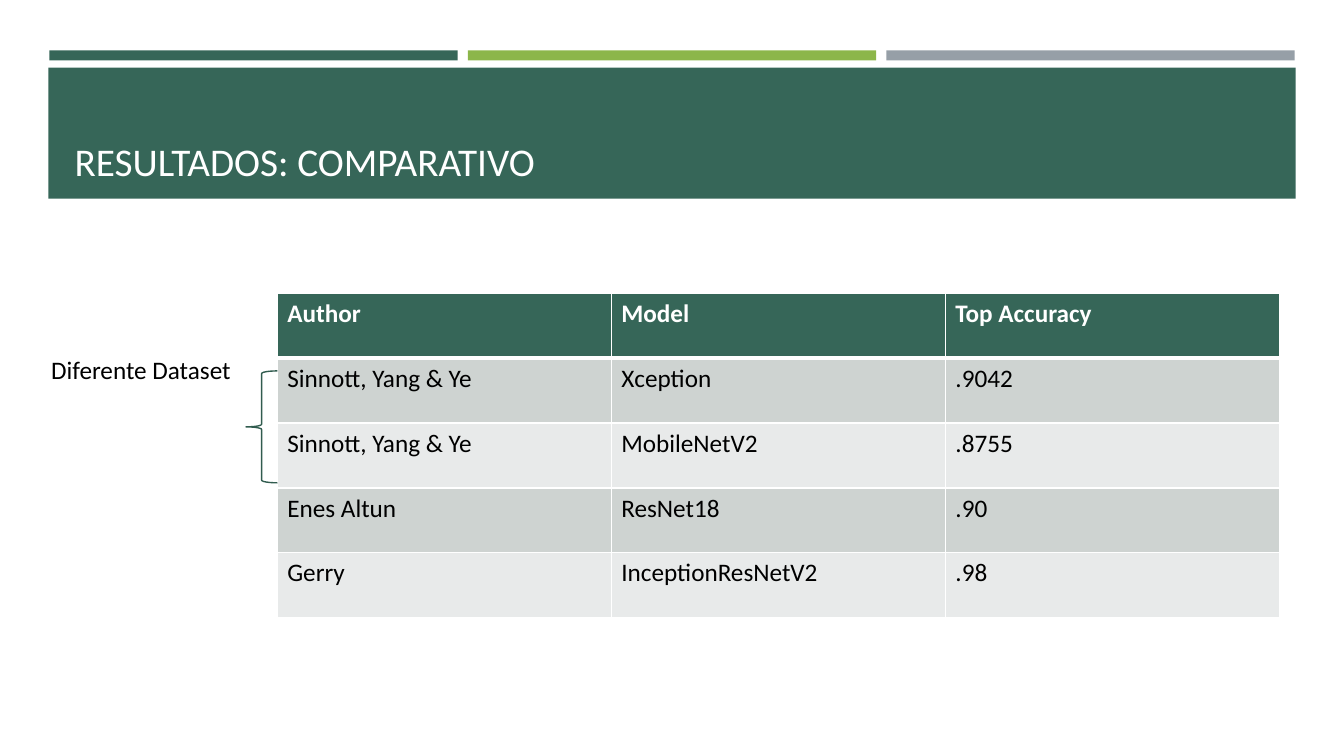
from dataclasses import dataclass

from lxml import etree
from pptx import Presentation
from pptx import util as u
from pptx.dml.color import RGBColor
from pptx.enum import shapes, text
from pptx.oxml import ns


@dataclass(frozen=True)
class Theme:
    font: str = "Calibri"
    green: str = "366658"
    lime: str = "8CB64A"
    gray: str = "969FA7"
    brace: str = "315C4F"
    band_dark: str = "CED3D1"
    band_light: str = "E8EAEA"
    white: str = "FFFFFF"
    black: str = "000000"
    title_size: int = 28
    body_size: int = 18


theme = Theme()


def add_text(frame, words, size, color, bold=False):
    para = frame.paragraphs[0]
    para.alignment = text.PP_ALIGN.LEFT
    span = para.add_run()
    span.text = words
    span.font.name = theme.font
    span.font.size = u.Pt(size)
    span.font.bold = bold
    span.font.color.rgb = RGBColor.from_string(color)


def add_border(cell, side, points):
    properties = cell._tc.get_or_add_tcPr()
    line = etree.SubElement(properties, ns.qn(f"a:ln{side}"), w=str(u.Pt(points)))
    fill = etree.SubElement(line, ns.qn("a:solidFill"))
    etree.SubElement(fill, ns.qn("a:srgbClr"), val=theme.white)


deck = Presentation()
deck.slide_width = u.Inches(13.33)
deck.slide_height = u.Inches(7.5)
page = deck.slides.add_slide(deck.slide_layouts.get_by_name("Title Only"))

bar_width, bar_step = 4.05, 4.15
bars = [
    (0.49 + column * bar_step, 0.5, bar_width, 0.1, color)
    for column, color in enumerate([theme.green, theme.lime, theme.gray])
]
banner = (0.48, 0.67, 12.37, 1.3, theme.green)
for left, top, width, height, color in [*bars, banner]:
    block = page.shapes.add_shape(
        shapes.MSO_SHAPE.RECTANGLE,
        u.Inches(left), u.Inches(top), u.Inches(width), u.Inches(height),
    )
    block.shadow.inherit = False
    block.fill.solid()
    block.fill.fore_color.rgb = RGBColor.from_string(color)
    block.line.fill.background()

title = page.shapes.title
title.left, title.top = u.Inches(0.64), u.Inches(0.77)
title.width, title.height = u.Inches(12.06), u.Inches(1.11)
title.text_frame.auto_size = text.MSO_AUTO_SIZE.NONE
title.text_frame.vertical_anchor = text.MSO_ANCHOR.BOTTOM
add_text(title.text_frame, "RESULTADOS: COMPARATIVO", theme.title_size, theme.white)
block.element.addnext(title.element)

results = [
    ("Author", "Model", "Top Accuracy"),
    ("Sinnott, Yang & Ye", "Xception", ".9042"),
    ("Sinnott, Yang & Ye", "MobileNetV2", ".8755"),
    ("Enes Altun", "ResNet18", ".90"),
    ("Gerry", "InceptionResNetV2", ".98"),
]
table = page.shapes.add_table(
    len(results), len(results[0]),
    u.Inches(2.75), u.Inches(2.91), u.Inches(9.94), u.Inches(3.22),
).table
for row, values in enumerate(results):
    header = row == 0
    band = theme.band_dark if row % 2 else theme.band_light
    for column, value in enumerate(values):
        cell = table.cell(row, column)
        add_border(cell, "L", 1)
        add_border(cell, "R", 1)
        add_border(cell, "T", 3 if row == 1 else 1)
        add_border(cell, "B", 3 if header else 1)
        cell.fill.solid()
        cell.fill.fore_color.rgb = RGBColor.from_string(theme.green if header else band)
        add_text(
            cell.text_frame, value, theme.body_size,
            theme.white if header else theme.black, header,
        )

box = page.shapes.add_textbox(u.Inches(0.41), u.Inches(3.47), u.Inches(2.04), u.Inches(0.4))
box.text_frame.word_wrap = True
box.text_frame.auto_size = text.MSO_AUTO_SIZE.SHAPE_TO_FIT_TEXT
add_text(box.text_frame, "Diferente Dataset", theme.body_size, theme.black)

brace = page.shapes.add_shape(
    shapes.MSO_SHAPE.LEFT_BRACE,
    u.Inches(2.44), u.Inches(3.68), u.Inches(0.31), u.Inches(1.11),
)
brace.shadow.inherit = False
brace.fill.background()
brace.line.color.rgb = RGBColor.from_string(theme.brace)
brace.line.width = u.Pt(1)

deck.save("out.pptx")
